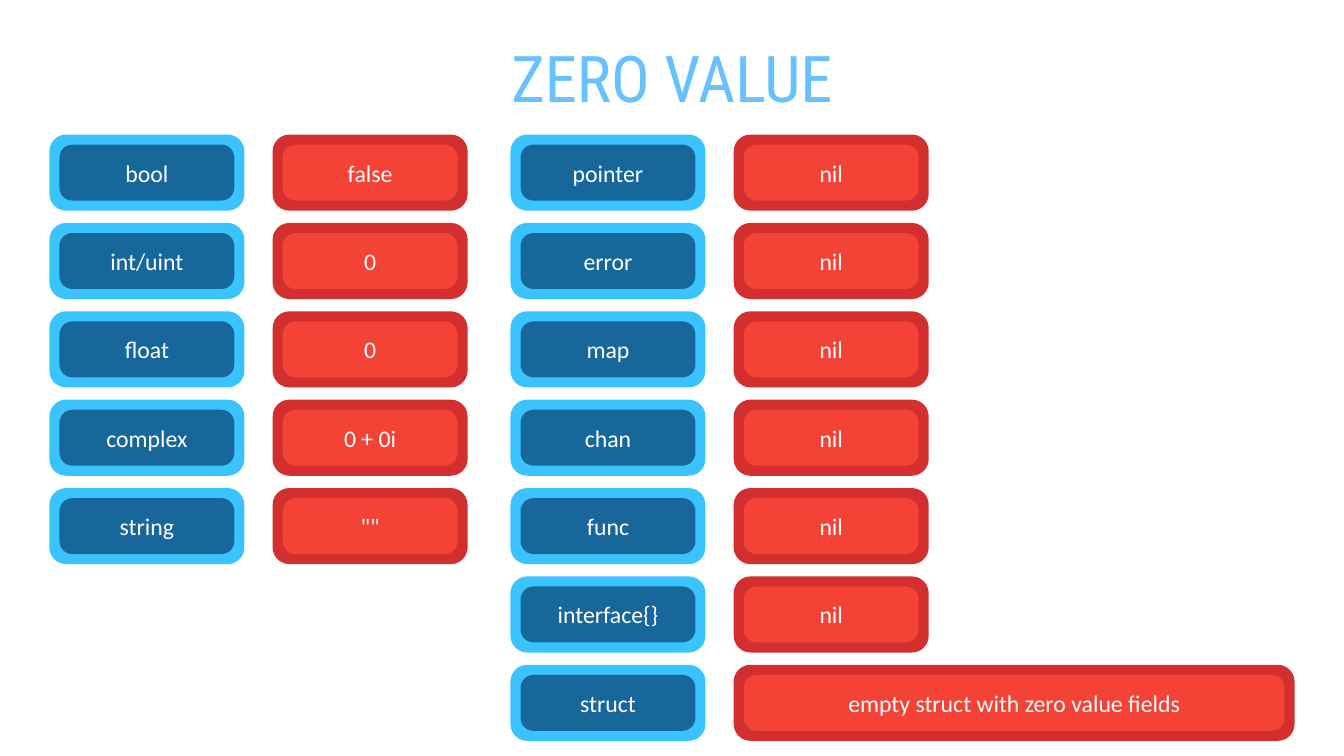
from pptx import Presentation
from pptx.dml.color import RGBColor
from pptx.enum.shapes import MSO_SHAPE as Shape
from pptx.enum.text import MSO_ANCHOR as Anchor, MSO_AUTO_SIZE as AutoSize, PP_ALIGN as Align
from pptx.util import Inches, Pt

COLORS = {
    "title": "66C2FF",
    "type_rim": "39C4FF",
    "type_face": "18679A",
    "value_rim": "D32F2F",
    "value_face": "F44336",
    "label": "FFFFFF",
}
BASIC_TYPES = [
    ("bool", "false"),
    ("int/uint", "0"),
    ("float", "0"),
    ("complex", "0 + 0i"),
    ("string", '""'),
]
REFERENCE_TYPES = [
    (name, "nil")
    for name in ("pointer", "error", "map", "chan", "func", "interface{}")
]
STRUCT_VALUE = "empty struct with zero value fields"

TOP = 2.67
ROW_PITCH = (13.19 - TOP) / 6
CARD_WIDTH, CARD_HEIGHT = 3.87, 1.51
WIDE_CARD_WIDTH = 11.13
VALUE_OFFSET = 4.43
RIM = 0.2
LABEL_INSET, LABEL_HEIGHT = 0.1, 0.8


def write_text(frame, text, *, size, font, color, anchor=Anchor.MIDDLE, line_spacing=None):
    frame.word_wrap = True
    frame.auto_size = AutoSize.NONE
    frame.vertical_anchor = anchor
    frame.margin_left = frame.margin_right = Inches(0.08)
    frame.margin_top = frame.margin_bottom = Inches(0.08)
    paragraph = frame.paragraphs[0]
    paragraph.alignment = Align.CENTER
    paragraph.line_spacing = line_spacing
    paragraph.space_before = Pt(0)
    run = paragraph.add_run()
    run.text = text
    run.font.size = Pt(size)
    run.font.name = font
    run.font.color.rgb = RGBColor.from_string(COLORS[color])


def add_panel(shapes, left, top, width, height, color, rounding):
    panel = shapes.add_shape(
        Shape.ROUNDED_RECTANGLE, Inches(left), Inches(top), Inches(width), Inches(height)
    )
    panel.adjustments[0] = rounding
    panel.fill.solid()
    panel.fill.fore_color.rgb = RGBColor.from_string(COLORS[color])
    panel.line.fill.background()
    panel.shadow.inherit = False


def add_card(slide, text, role, left, top, width=CARD_WIDTH):
    """Group a rim, its inner face and a centred label; role picks the colours."""
    card = slide.shapes.add_group_shape().shapes
    add_panel(card, left, top, width, CARD_HEIGHT, f"{role}_rim", 0.22)
    add_panel(card, left + RIM, top + RIM, width - 2 * RIM, CARD_HEIGHT - 2 * RIM,
              f"{role}_face", 0.23)
    label = card.add_textbox(
        Inches(left + LABEL_INSET),
        Inches(top + (CARD_HEIGHT - LABEL_HEIGHT) / 2),
        Inches(width - 2 * LABEL_INSET),
        Inches(LABEL_HEIGHT),
    )
    write_text(label.text_frame, text, size=34, font="Calibri", color="label")


def add_type_rows(slide, rows, left, top):
    for index, (type_name, zero_value) in enumerate(rows):
        row_top = top + index * ROW_PITCH
        value_width = WIDE_CARD_WIDTH if zero_value == STRUCT_VALUE else CARD_WIDTH
        add_card(slide, type_name, "type", left, row_top)
        add_card(slide, zero_value, "value", left + VALUE_OFFSET, row_top, value_width)


def add_title(slide, text, left, top, width, height):
    title = slide.shapes.title
    title.left, title.top = Inches(left), Inches(top)
    title.width, title.height = Inches(width), Inches(height)
    write_text(title.text_frame, text, size=92, font="Roboto Condensed", color="title",
               anchor=Anchor.TOP, line_spacing=0.8)


def main():
    deck = Presentation()
    deck.slide_width, deck.slide_height = Inches(26.67), Inches(15)
    slide = deck.slides.add_slide(deck.slide_layouts[5])
    add_title(slide, "ZERO VALUE", 8.63, 0.97, 9.41, 1.44)
    add_type_rows(slide, BASIC_TYPES, 0.98, TOP)
    add_type_rows(slide, REFERENCE_TYPES + [("struct", STRUCT_VALUE)], 10.13, TOP)
    deck.save("out.pptx")


if __name__ == "__main__":
    main()
